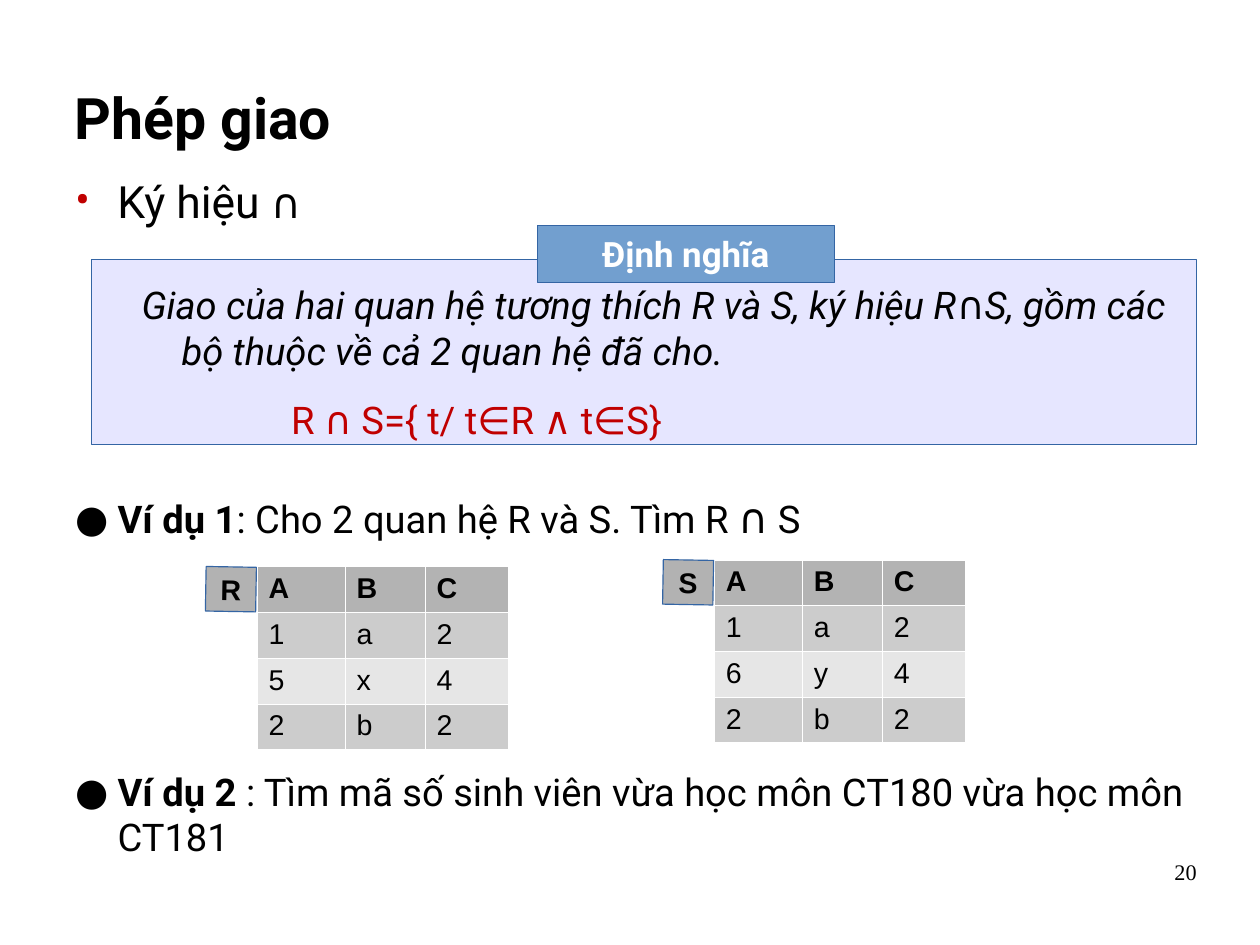
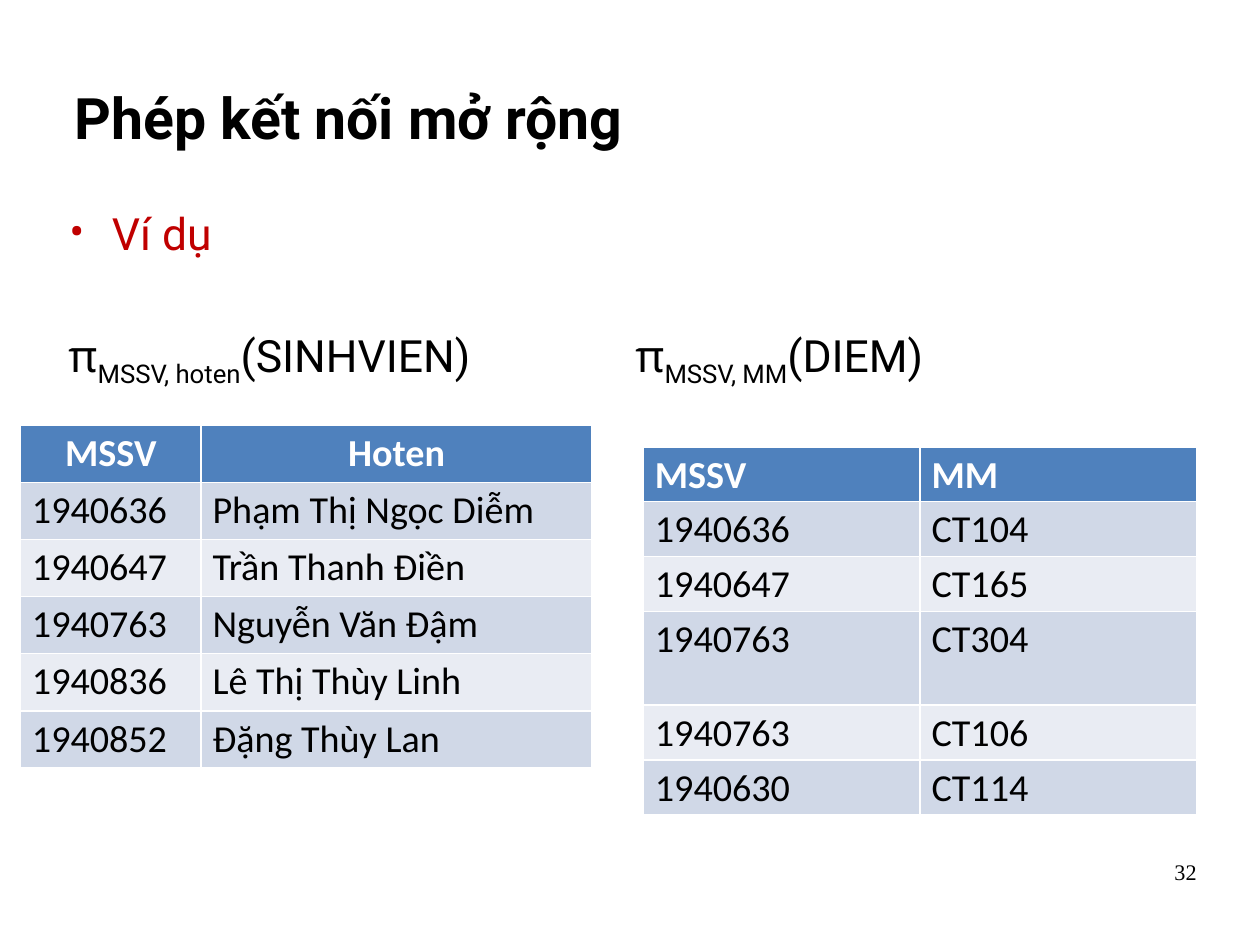
from dataclasses import dataclass
from itertools import groupby

from lxml.etree import SubElement
from pptx import Presentation
from pptx.dml.color import RGBColor
from pptx.enum.shapes import MSO_SHAPE
from pptx.enum.text import MSO_ANCHOR, MSO_AUTO_SIZE, PP_ALIGN
from pptx.oxml.ns import qn
from pptx.util import Inches, Pt

BLACK = RGBColor(0x00, 0x00, 0x00)
WHITE = RGBColor(0xFF, 0xFF, 0xFF)
RED = RGBColor(0xC0, 0x00, 0x00)
LAVENDER = RGBColor(0xE6, 0xE6, 0xFF)
BLUE = RGBColor(0x72, 0x9F, 0xCF)
OUTLINE = RGBColor(0x34, 0x65, 0xA4)
TAG_GRAY = RGBColor(0xB2, 0xB2, 0xB2)
BODY_FONT = "Roboto"
SYMBOL_FONT = "Noto Sans"
SYMBOLS = "∩∈∧π"
BULLET_FONTS = {"•": BODY_FONT, "●": SYMBOL_FONT}
TITLE_ONLY = 5


@dataclass
class TableStyle:
    font: str
    size: float
    header_color: RGBColor
    header_fill: RGBColor
    band_fills: tuple
    top_inset: float
    spacing: float
    border: float


GRAY_TABLE = TableStyle(
    "Arial", 18, BLACK, RGBColor(0xB3, 0xB3, 0xB3),
    (RGBColor(0xCC, 0xCC, 0xCC), RGBColor(0xE6, 0xE6, 0xE6)), 0.07, 0.93, 0.75)
BLUE_TABLE = TableStyle(
    "Calibri", 24, WHITE, RGBColor(0x4F, 0x81, 0xBD),
    (RGBColor(0xD0, 0xD8, 0xE7), RGBColor(0xE9, 0xEC, 0xF3)), 0.09, 0.83, 0.96)


def style_font(font, size, color=BLACK, name=BODY_FONT, bold=False, italic=False):
    font.name = name
    font.size = Pt(size)
    font.color.rgb = color
    font.bold = bold
    font.italic = italic


def add_text(p, text, size, symbol_size=None, baseline=None, **style):
    for is_symbol, chars in groupby(text, lambda ch: ch in SYMBOLS):
        r = p.add_run()
        r.text = "".join(chars)
        if is_symbol:
            style_font(r.font, symbol_size or size, name=SYMBOL_FONT, **style)
        else:
            style_font(r.font, size, **style)
        if baseline:
            r.font._element.set("baseline", str(baseline))


def indent(p, left, first=0.0):
    pPr = p._p.get_or_add_pPr()
    pPr.set("marL", str(Inches(left)))
    pPr.set("indent", str(Inches(first)))
    return pPr


def add_bullet(p, char, color):
    pPr = indent(p, 0.38, -0.37)
    clr = SubElement(pPr, qn("a:buClr"))
    SubElement(clr, qn("a:srgbClr")).set("val", str(color))
    SubElement(pPr, qn("a:buFont")).set("typeface", BULLET_FONTS[char])
    SubElement(pPr, qn("a:buChar")).set("char", char)


def set_insets(tf, left=0.1, top=0.05, right=0.1, bottom=0.05):
    tf.margin_left, tf.margin_top = Inches(left), Inches(top)
    tf.margin_right, tf.margin_bottom = Inches(right), Inches(bottom)
    tf.word_wrap = True


def add_box(s, left, top, width, height):
    sp = s.shapes.add_textbox(Inches(left), Inches(top), Inches(width), Inches(height))
    set_insets(sp.text_frame)
    return sp.text_frame


def add_rect(s, left, top, width, height, fill):
    sp = s.shapes.add_shape(MSO_SHAPE.RECTANGLE, Inches(left), Inches(top),
                            Inches(width), Inches(height))
    sp.shadow.inherit = False
    sp.fill.solid()
    sp.fill.fore_color.rgb = fill
    sp.line.color.rgb = OUTLINE
    sp.line.width = Pt(0.75)
    set_insets(sp.text_frame)
    return sp


def add_label(s, left, top, width, height, text, fill, size, **style):
    sp = add_rect(s, left, top, width, height, fill)
    tf = sp.text_frame
    tf.vertical_anchor = MSO_ANCHOR.MIDDLE
    p = tf.paragraphs[0]
    p.text = text
    p.alignment = PP_ALIGN.CENTER
    style_font(p.runs[0].font, size, bold=True, **style)
    return sp


def add_bullet_line(s, left, top, width, height, char, bullet_color, parts, size, **style):
    p = add_box(s, left, top, width, height).paragraphs[0]
    add_bullet(p, char, bullet_color)
    for text, bold in parts:
        add_text(p, text, size, bold=bold, **style)


def add_titled_slide(prs, title, number):
    s = prs.slides.add_slide(prs.slide_layouts[TITLE_ONLY])
    sp = s.shapes.title
    sp.left, sp.top = Inches(0.55), Inches(0.33)
    sp.width, sp.height = Inches(9.92), Inches(1.38)
    tf = sp.text_frame
    tf.text = title
    tf.auto_size = MSO_AUTO_SIZE.NONE
    tf.vertical_anchor = MSO_ANCHOR.MIDDLE
    set_insets(tf)
    p = tf.paragraphs[0]
    p.alignment = PP_ALIGN.LEFT
    style_font(p.runs[0].font, 36, bold=True)

    tf = add_box(s, 7.9, 7.53, 2.57, 0.57)
    set_insets(tf, 0, 0, 0, 0)
    p = tf.paragraphs[0]
    p.text = str(number)
    p.alignment = PP_ALIGN.RIGHT
    p.line_spacing = 0.93
    style_font(p.runs[0].font, 14, name="Times New Roman")
    return s


def add_borders(cell, width):
    tcPr = cell._tc.get_or_add_tcPr()
    for side in ("lnL", "lnR", "lnT", "lnB"):
        ln = SubElement(tcPr, qn(f"a:{side}"), w=str(Pt(width)))
        fill = SubElement(ln, qn("a:solidFill"))
        SubElement(fill, qn("a:srgbClr")).set("val", str(WHITE))


def format_cell(cell, text, style, row, header_align):
    header = row == 0
    cell.margin_left = cell.margin_right = Inches(0.1)
    cell.margin_top, cell.margin_bottom = Inches(style.top_inset), Inches(0.05)
    add_borders(cell, style.border)
    cell.fill.solid()
    cell.fill.fore_color.rgb = style.header_fill if header else style.band_fills[(row - 1) % 2]
    p = cell.text_frame.paragraphs[0]
    p.text = text
    p.line_spacing = style.spacing
    p.alignment = header_align if header else PP_ALIGN.LEFT
    style_font(p.runs[0].font, style.size, style.header_color if header else BLACK,
               style.font, bold=header)


def add_data_table(s, left, top, widths, heights, rows, style, header_align=PP_ALIGN.LEFT):
    table = s.shapes.add_table(len(rows), len(widths), Inches(left), Inches(top),
                               Inches(sum(widths)), Inches(sum(heights))).table
    for column, width in zip(table.columns, widths):
        column.width = Inches(width)
    for i, (height, values) in enumerate(zip(heights, rows)):
        table.rows[i].height = Inches(height)
        for j, text in enumerate(values):
            format_cell(table.cell(i, j), text, style, i, header_align)


def add_relation(s, left, top, name, rows):
    add_data_table(s, left + 0.45, top, (0.77, 0.7, 0.73), [0.4] * len(rows), rows, GRAY_TABLE)
    tag = add_label(s, left, top, 0.44, 0.39, name, TAG_GRAY, 18, name="Arial")
    tag.rotation = 1


def add_definition(s, left, top, width, height):
    tf = add_rect(s, left, top, width, height, LAVENDER).text_frame
    tf.vertical_anchor = MSO_ANCHOR.TOP
    set_insets(tf, top=0.19, bottom=0)
    p = tf.paragraphs[0]
    p.alignment = PP_ALIGN.LEFT
    indent(p, 0.69, -0.35)
    add_text(p, "Giao của hai quan hệ tương thích R và S, ký hiệu R∩S, gồm các "
                "bộ thuộc về cả 2 quan hệ đã cho.", 24, italic=True)
    p = tf.add_paragraph()
    p.alignment = PP_ALIGN.LEFT
    p.space_before = Pt(15)
    indent(p, 1.65)
    add_text(p, "R ∩ S={ t/ t∈R ∧ t∈S}", 24, color=RED)
    add_label(s, left + 3.9, top - 0.3, 2.6, 0.5, "Định nghĩa", BLUE, 22, color=WHITE)


def add_projection(s, left, top, width, columns, relation):
    p = add_box(s, left, top, width, 0.65).paragraphs[0]
    add_text(p, "π", 28)
    add_text(p, columns, 28, baseline=-25000)
    add_text(p, f"({relation})", 28)


def build_intersection(prs):
    s = add_titled_slide(prs, "Phép giao", 20)
    add_bullet_line(s, 0.55, 1.47, 4, 0.5, "•", RED, [("Ký hiệu ∩", False)], 28, symbol_size=26)
    add_definition(s, 0.8, 2.27, 9.67, 1.62)
    add_bullet_line(s, 0.55, 4.26, 9.92, 0.55, "●", BLACK,
                    [("Ví dụ 1", True), (": Cho 2 quan hệ R và S. Tìm R ∩ S", False)],
                    24, symbol_size=26)
    header = ("A", "B", "C")
    add_relation(s, 1.8, 4.96, "R",
                 [header, ("1", "a", "2"), ("5", "x", "4"), ("2", "b", "2")])
    add_relation(s, 5.8, 4.9, "S",
                 [header, ("1", "a", "2"), ("6", "y", "4"), ("2", "b", "2")])
    add_bullet_line(s, 0.55, 6.67, 9.92, 0.9, "●", BLACK,
                    [("Ví dụ 2", True),
                     (" : Tìm mã số sinh viên vừa học môn CT180 vừa học môn CT181", False)], 24)


def build_extended_join(prs):
    s = add_titled_slide(prs, "Phép kết nối mở rộng", 32)
    add_bullet_line(s, 0.5, 1.75, 4, 0.6, "•", RED, [("Ví dụ", False)], 28, color=RED)
    add_projection(s, 0.5, 2.82, 4.8, "MSSV, hoten", "SINHVIEN")
    add_projection(s, 5.46, 2.82, 4.8, "MSSV, MM", "DIEM")
    students = [("MSSV", "Hoten"), ("1940636", "Phạm Thị Ngọc Diễm"),
                ("1940647", "Trần Thanh Điền"), ("1940763", "Nguyễn Văn Đậm"),
                ("1940836", "Lê Thị Thùy Linh"), ("1940852", "Đặng Thùy Lan")]
    add_data_table(s, 0.18, 3.72, (1.58, 3.42), [0.5] * len(students), students,
                   BLUE_TABLE, PP_ALIGN.CENTER)
    courses = [("MSSV", "MM"), ("1940636", "CT104"), ("1940647", "CT165"),
               ("1940763", "CT304"), ("1940763", "CT106"), ("1940630", "CT114")]
    add_data_table(s, 5.63, 3.91, (2.42, 2.42), (0.48, 0.48, 0.48, 0.82, 0.48, 0.48),
                   courses, BLUE_TABLE)


def main():
    prs = Presentation()
    prs.slide_width, prs.slide_height = Inches(28 / 2.54), Inches(21 / 2.54)
    build_intersection(prs)
    build_extended_join(prs)
    prs.save("out.pptx")


if __name__ == "__main__":
    main()
